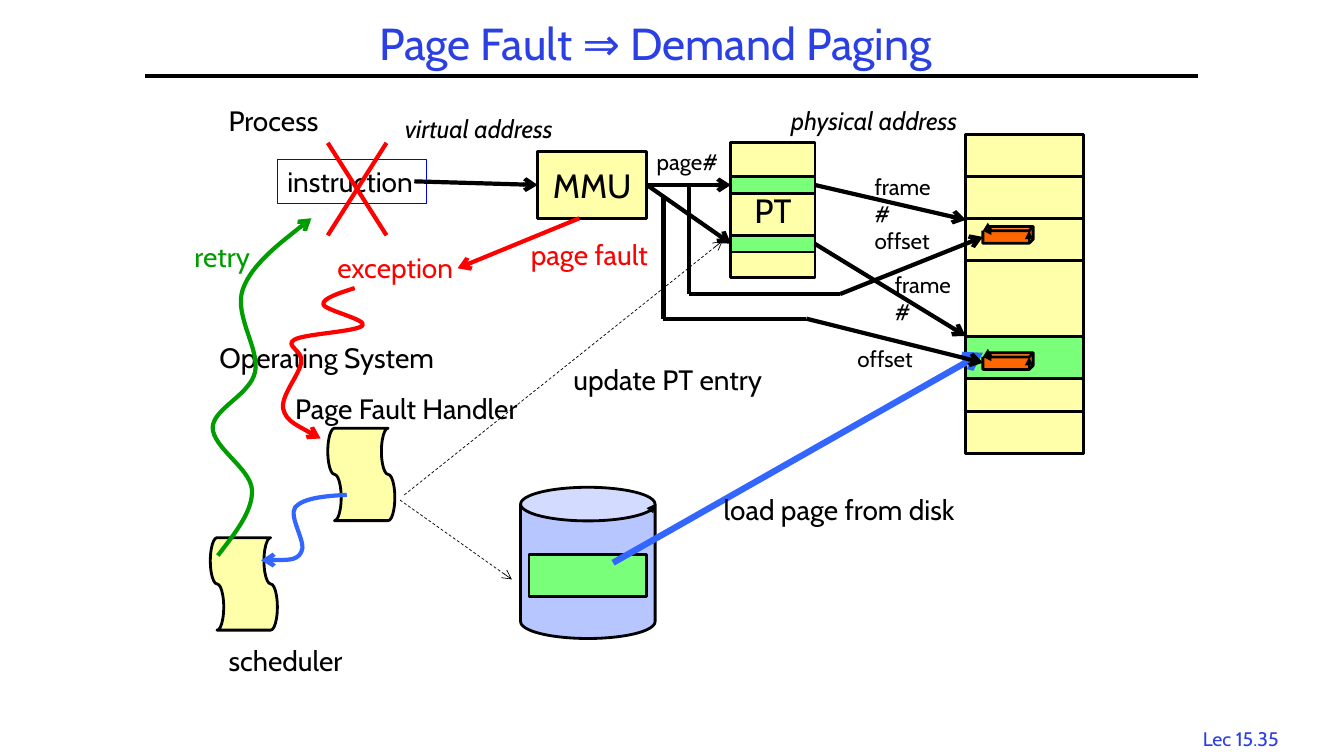
from dataclasses import dataclass
from typing import Any

from lxml import etree
from pptx import Presentation
from pptx import util as u
from pptx.dml.color import RGBColor
from pptx.enum import dml, shapes, text
from pptx.oxml import ns

BLACK = RGBColor(0x00, 0x00, 0x00)
RED = RGBColor(0xFF, 0x00, 0x00)
DARK_GREEN = RGBColor(0x00, 0x9D, 0x00)
SKY_BLUE = RGBColor(0x33, 0x66, 0xFF)
PURE_BLUE = RGBColor(0x00, 0x00, 0xFF)
TITLE_BLUE = RGBColor(0x2A, 0x40, 0xE2)
YELLOW = RGBColor(0xFF, 0xFF, 0xAA)
GREEN = RGBColor(0x79, 0xFF, 0x79)
LAVENDER = RGBColor(0xB7, 0xC6, 0xFE)
ORANGE = RGBColor(0xFF, 0x66, 0x00)

FONT = "Cabin"
KIND = shapes.MSO_SHAPE
CENTER = text.PP_ALIGN.CENTER
MIDDLE = text.MSO_ANCHOR.MIDDLE


def apply(target, **values):
    for name, value in values.items():
        setattr(target, name, value)


def write(frame, words, size, color=BLACK, italic=False, align=None):
    para = frame.paragraphs[0]
    para.alignment = align
    span = para.add_run()
    span.text = words
    apply(span.font, name=FONT, size=u.Pt(size), italic=italic)
    span.font.color.rgb = color


def stroke(shape, color, width, head=None, tail=None, dashed=False):
    shape.line.color.rgb = color
    shape.line.width = u.Pt(width)
    if dashed:
        shape.line.dash_style = dml.MSO_LINE.DASH
    for tag, kind in (("a:headEnd", head), ("a:tailEnd", tail)):
        if kind:
            etree.SubElement(shape.get_or_add_ln(), ns.qn(tag), type=kind)


@dataclass
class Region:
    """Area of the page; positions are centimetres from its top left corner."""
    page: Any
    left: float
    top: float

    def at(self, x, y):
        return u.Cm(self.left + x), u.Cm(self.top + y)

    def block(self, x, y, width, height, fill=YELLOW, kind=KIND.RECTANGLE,
              words="", turn=0):
        shape = self.page.shapes.add_shape(
            kind, *self.at(x, y), u.Cm(width), u.Cm(height))
        shape.shadow.inherit = False
        shape.rotation = turn
        shape.fill.solid()
        shape.fill.fore_color.rgb = fill
        stroke(shape, BLACK, 2, head="triangle")
        if words:
            shape.text_frame.vertical_anchor = MIDDLE
            write(shape.text_frame, words, 24, align=CENTER)
        return shape

    def label(self, x, y, width, words, size=20, **style):
        box = self.page.shapes.add_textbox(
            *self.at(x, y), u.Cm(width), u.Cm(size * 0.056))
        box.text_frame.word_wrap = True
        write(box.text_frame, words, size, **style)
        return box

    def wire(self, *points, color=BLACK, width=3, tail="arrow", dashed=False):
        """Join the points with straight lines; the last one gets the tail."""
        for end in range(1, len(points)):
            line = self.page.shapes.add_connector(
                shapes.MSO_CONNECTOR.STRAIGHT,
                *self.at(*points[end - 1]), *self.at(*points[end]))
            last = end == len(points) - 1
            stroke(line, color, width, tail=tail if last else None, dashed=dashed)
            etree.SubElement(line._element.spPr, ns.qn("a:effectLst"))

    def curve(self, color, *points):
        """Draw an arrow of Bezier pieces: a start, then three points each."""
        start, *rest = [self.at(*point) for point in points]
        builder = self.page.shapes.build_freeform(*start)
        builder.add_line_segments(rest, close=False)
        shape = builder.convert_to_shape()
        shape.shadow.inherit = False
        shape.fill.background()
        stroke(shape, color, 3, tail="arrow")
        outline = next(shape._element.iter(ns.qn("a:path")))
        pieces = outline.findall(ns.qn("a:lnTo"))
        for first in range(0, len(pieces), 3):
            bezier = etree.SubElement(outline, ns.qn("a:cubicBezTo"))
            for piece in pieces[first:first + 3]:
                bezier.append(piece[0])
                outline.remove(piece)


def heading(area):
    title = area.page.shapes.title
    apply(title, left=u.Cm(area.left + 2.5), top=u.Cm(area.top),
          width=u.Cm(20.75), height=u.Cm(1.48))
    apply(title.text_frame, vertical_anchor=MIDDLE, word_wrap=True,
          auto_size=text.MSO_AUTO_SIZE.NONE)
    write(title.text_frame, "Page Fault ⇒ Demand Paging", 32, TITLE_BLUE, align=CENTER)
    title.text_frame.paragraphs[0].line_spacing = 0.9
    area.wire((0, 1.49), (26.55, 1.49), tail=None)


def footer(area):
    area.label(0, 0, 2.74, "Lec 15.35", 14, color=TITLE_BLUE, align=CENTER)


def memory(area):
    area.block(0, 0, 2.96, 8.04)
    for top, fill in ((1.06, YELLOW), (2.12, YELLOW), (5.08, GREEN), (6.98, YELLOW)):
        area.block(0, top, 2.96, 1.06, fill)


def process(area):
    area.label(0, 0, 3.1, "Process")
    area.label(4.45, 0.25, 4.67, "virtual address", 18, italic=True)
    instruction = area.label(1.48, 1.53, 3.76, "instruction")
    stroke(instruction, PURE_BLUE, 0.75)
    area.wire((4.93, 2.08), (8.04, 2.17))
    for start, end in ((2.75, 4.23), (4.23, 2.75)):
        area.wire((start, 1.11), (end, 3.44), color=RED, tail=None)


def disk(area):
    area.block(0, 0, 3.39, 3.81, LAVENDER, KIND.CAN)
    area.block(0.21, 1.69, 2.96, 1.06, GREEN)
    area.wire((2.33, 1.9), (11.65, -3.39), color=SKY_BLUE, width=4.5)
    area.label(4.87, 0, 6.73, "load page from disk")


def translation(area):
    """MMU and page table, with their paths into memory."""
    mmu_right, pt_left, pt_right, frame_left, cube_left = 2.75, 4.87, 6.98, 10.79, 11.22
    area.label(6.14, 0, 5.28, "physical address", 18, italic=True)
    area.block(0, 1.27, mmu_right, 1.69, words="MMU")
    area.block(pt_left, 1.06, 2.12, 3.39, words="PT")
    area.label(mmu_right, 1.06, 2.15, "page#", 16)
    for entry, frame in ((2.12, 3), (3.6, 5.93)):
        area.block(pt_left, entry - 0.21, 2.12, 0.42, GREEN)
        area.wire((mmu_right, 2.12), (pt_left, entry))
        area.wire((pt_right, entry), (frame_left, frame))
    for x, y in ((8.24, 1.7), (8.75, 4.17)):
        area.label(x, y, 2.29, "frame#", 16)
    for x, y in ((8.24, 3.07), (7.81, 6.02)):
        area.label(x, y, 2, "offset", 16)
    for cube_top in (3.17, 6.35):
        area.block(cube_left, cube_top, 1.27, 0.42, ORANGE, KIND.CUBE)
    for drop, start, low, bend, end in ((3.81, 2.12, 4.87, 7.62, 3.43),
                                        (3.17, 2.39, 5.49, 6.77, 6.6)):
        area.wire((drop, start), (drop, low), (bend, low), (cube_left, end), tail="arrow")


def operating_system(area):
    """The exception, its handler, the scheduler and the retry."""
    area.wire((9.95, 0), (6.88, 1.26), color=RED)
    area.label(8.48, 0.37, 3.7, "page fault", color=RED)
    area.label(3.6, 0.7, 3.6, "exception", color=RED)
    area.label(0.63, 2.96, 6.2, "Operating System")
    area.label(2.54, 4.23, 6.65, "Page Fault Handler")
    area.label(9.55, 3.52, 5.56, "update PT entry")
    area.label(0.86, 10.58, 3.61, "scheduler")
    for x, y in ((3.29, 5.61), (0.33, 8.37)):
        area.block(x, y, 2.33, 1.69, kind=KIND.FLOWCHART_PUNCHED_TAPE, turn=90)
    area.wire((5.43, 7.1), (8.25, 9.1), width=0.5, dashed=True)
    area.wire((5.54, 6.97), (13.56, 0.57), width=0.5, dashed=True)
    area.curve(RED, (4.29, 1.76),
               (3.88, 1.89), (3.48, 2.02), (3.5, 2.17),
               (3.53, 2.32), (4.6, 2.55), (4.49, 2.7),
               (4.37, 2.86), (3.02, 2.91), (2.77, 3.06),
               (2.51, 3.21), (3, 3.34), (2.94, 3.62),
               (2.92, 3.92), (2.41, 4.48), (2.49, 4.81),
               (2.56, 5.12), (3.43, 5.55), (3.43, 5.55))
    area.curve(SKY_BLUE, (4.09, 6.97),
               (3.53, 7), (3, 7.05), (2.79, 7.28),
               (2.61, 7.53), (3.1, 8.19), (2.94, 8.42),
               (2.82, 8.65), (1.93, 8.62), (1.93, 8.62))
    area.curve(DARK_GREEN, (0.84, 8.5),
               (1.27, 7.94), (1.73, 7.38), (1.7, 6.84),
               (1.67, 6.31), (0.71, 5.78), (0.71, 5.27),
               (0.73, 4.79), (1.65, 4.46), (1.78, 3.87),
               (1.9, 3.29), (1.24, 2.45), (1.47, 1.79),
               (1.7, 1.13), (3.2, 0), (3.2, 0))
    area.label(0, 0.42, 2.05, "retry", color=DARK_GREEN)


def main():
    deck = Presentation()
    apply(deck, slide_width=u.Cm(33.87), slide_height=u.Cm(19.05))
    page = deck.slides.add_slide(deck.slide_layouts.get_by_name("Title Only"))
    for draw, left, top in ((footer, 29.9, 18.19), (heading, 3.65, 0.42),
                            (memory, 24.34, 3.39), (process, 5.51, 2.49),
                            (disk, 13.12, 12.28), (translation, 13.55, 2.54),
                            (operating_system, 4.65, 5.5)):
        draw(Region(page, left, top))
    deck.save("out.pptx")


if __name__ == "__main__":
    main()
